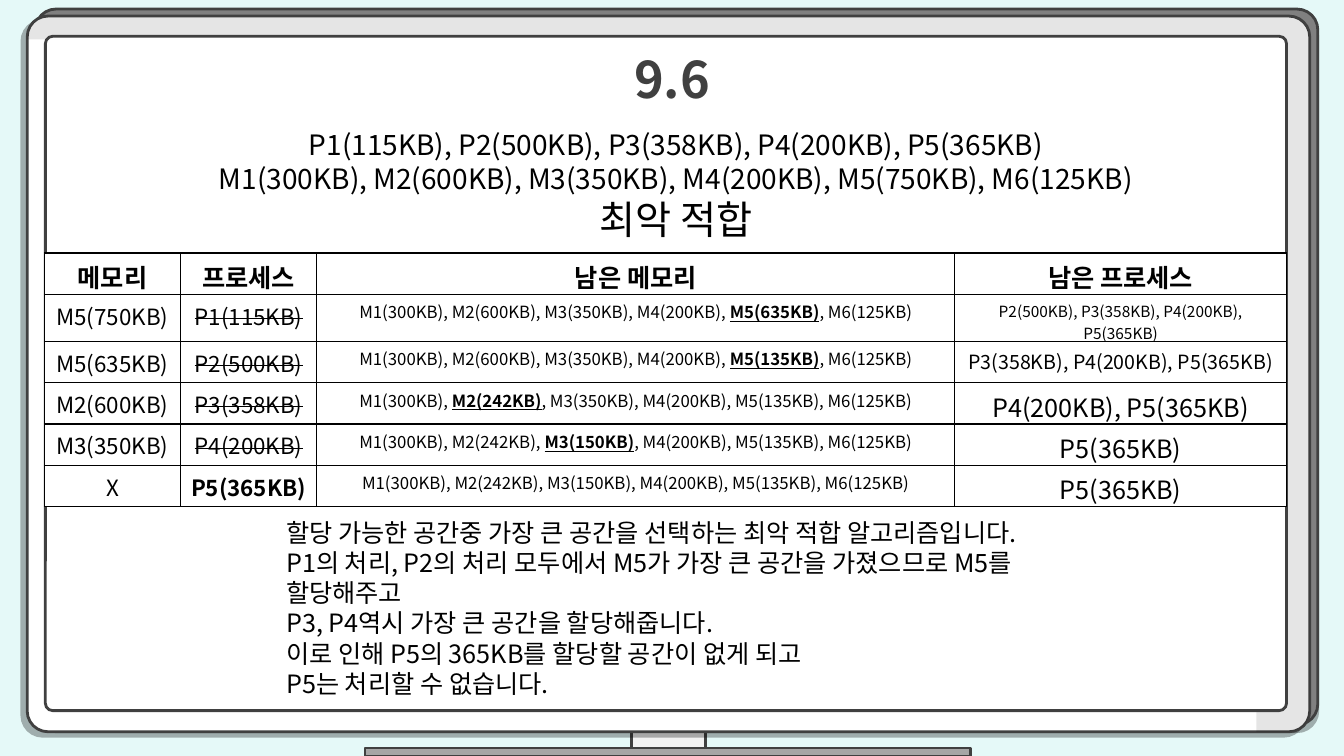
"""Build the worst-fit memory allocation slide, framed by a monitor."""
from math import cos, radians, sin

from lxml import etree
from pptx import Presentation
from pptx.dml.color import RGBColor
from pptx.enum import shapes, text
from pptx.oxml import ns, parse_xml
from pptx.util import Inches, Pt

FONT = "Noto Sans CJK KR"
TITLE = "9.6"
GIVEN = [
    ("P1(115KB), P2(500KB), P3(358KB), P4(200KB), P5(365KB)", 20),
    ("M1(300KB), M2(600KB), M3(350KB), M4(200KB), M5(750KB), M6(125KB)", 20),
    ("최악 적합", 28),
]
HEADINGS = ["메모리", "프로세스", "남은 메모리", "남은 프로세스"]
STEPS = [
    ("M5(750KB)", "P1(115KB)",
     "M1(300KB), M2(600KB), M3(350KB), M4(200KB), *M5(635KB)*, M6(125KB)",
     "P2(500KB), P3(358KB), P4(200KB), P5(365KB)", 11),
    ("M5(635KB)", "P2(500KB)",
     "M1(300KB), M2(600KB), M3(350KB), M4(200KB), *M5(135KB)*, M6(125KB)",
     "P3(358KB), P4(200KB), P5(365KB)", 14),
    ("M2(600KB)", "P3(358KB)",
     "M1(300KB), *M2(242KB)*, M3(350KB), M4(200KB), M5(135KB), M6(125KB)",
     "P4(200KB), P5(365KB)", 18),
    ("M3(350KB)", "P4(200KB)",
     "M1(300KB), M2(242KB), *M3(150KB)*, M4(200KB), M5(135KB), M6(125KB)",
     "P5(365KB)", 18),
    ("X", "P5(365KB)",
     "M1(300KB), M2(242KB), M3(150KB), M4(200KB), M5(135KB), M6(125KB)",
     "P5(365KB)", 18),
]
EXPLANATION = [
    "할당 가능한 공간중 가장 큰 공간을 선택하는 최악 적합 알고리즘입니다.",
    "P1의 처리, P2의 처리 모두에서 M5가 가장 큰 공간을 가졌으므로 M5를 할당해주고",
    "P3, P4역시 가장 큰 공간을 할당해줍니다.",
    "이로 인해 P5의 365KB를 할당할 공간이 없게 되고",
    "P5는 처리할 수 없습니다.",
]
COLUMN_WIDTHS = [1.35, 1.35, 6.33, 3.29]
ROW_HEIGHT = 0.41
BACK_PARTS = [
    ((0.35, 0.09, 12.72, 7.1), "808080", 0.029, 90),
    ((6.26, 4.83, 0.74, 2.67), "F2F2F2", None, None),
    ((3.62, 7.42, 6.01, 0.08), "A6A6A6", None, None),
    ((0.27, 0.16, 12.72, 7.1), "FFFFFF", 0.029, 140),
]
SCREEN = ((0.45, 0.36, 12.31, 6.69), "FFFFFF", 0.011, None)


def paint(target, color):
    if hasattr(target, "solid"):
        target.solid()
        target = target.fore_color
    target.rgb = RGBColor.from_string(color)


def add_part(page, box, color, radius, shadow_angle):
    kind = shapes.MSO_SHAPE.RECTANGLE if radius is None else shapes.MSO_SHAPE.ROUNDED_RECTANGLE
    part = page.shapes.add_shape(kind, *map(Inches, box))
    part.shadow.inherit = False
    if radius is not None:
        part.adjustments[0] = radius
    paint(part.fill, color)
    paint(part.line.color, "404040")
    part.line.width = Pt(2)
    if shadow_angle is not None:
        effects = part._element.spPr.find(ns.qn("a:effectLst"))
        effects.append(parse_xml(
            f'<a:outerShdw {ns.nsdecls("a")} blurRad="0" dist="{Pt(5)}" '
            f'dir="{shadow_angle * 60000}" algn="ctr" rotWithShape="0">'
            '<a:srgbClr val="000000"><a:alpha val="30000"/></a:srgbClr></a:outerShdw>'))


def arc(x, y, start, end, radius=0.21, steps=8):
    angles = [radians(start + (end - start) * i / steps) for i in range(steps + 1)]
    return [(Inches(x + radius * cos(a)), Inches(y + radius * sin(a))) for a in angles]


def add_bezel_shade(page):
    outline = (arc(0.48, 0.38, 180, 270) + arc(12.78, 0.38, -90, 0)
               + arc(12.78, 7.05, 0, 90) + [(Inches(12.46), Inches(7.26))]
               + arc(12.25, 0.6, 0, -90) + [(Inches(0.27), Inches(0.39))])
    builder = page.shapes.build_freeform(*outline[0], scale=1.0)
    builder.add_line_segments(outline[1:], close=True)
    shade = builder.convert_to_shape()
    shade.shadow.inherit = False
    paint(shade.fill, "000000")
    shade.line.fill.background()
    color = shade._element.spPr.find(ns.qn("a:solidFill"))[0]
    etree.SubElement(color, ns.qn("a:alpha")).set("val", "10000")


def write(para, content, size, color="000000", bold=False, strike=False, centred=True):
    if centred:
        para.alignment = text.PP_ALIGN.CENTER
    for index, piece in enumerate(content.split("*")):
        span = para.add_run()
        span.text = piece
        if index % 2:
            span.font.bold = span.font.underline = True
    para.font.size = Pt(size)
    para.font.name = FONT
    para.font.bold = bold
    paint(para.font.fill, color)
    defaults = para._p.pPr.find(ns.qn("a:defRPr"))
    etree.SubElement(defaults, ns.qn("a:ea")).set("typeface", FONT)
    if strike:
        defaults.set("strike", "sngStrike")


def add_text(page, box, lines, centred):
    frame = page.shapes.add_textbox(*map(Inches, box)).text_frame
    frame.word_wrap = True
    for index, (line, size) in enumerate(lines):
        para = frame.add_paragraph() if index else frame.paragraphs[0]
        write(para, line, size, centred=centred)


def format_cell(cell):
    properties = cell._tc.get_or_add_tcPr()
    for side in "LRTB":
        properties.append(parse_xml(
            f'<a:ln{side} {ns.nsdecls("a")} w="{Pt(1)}"><a:solidFill>'
            f'<a:srgbClr val="000000"/></a:solidFill></a:ln{side}>'))
    paint(cell.fill, "FFFFFF")


def add_steps(page):
    count = len(STEPS) + 1
    table = page.shapes.add_table(
        count, len(HEADINGS), Inches(0.44), Inches(2.51),
        Inches(sum(COLUMN_WIDTHS)), Inches(ROW_HEIGHT * count)).table
    table.first_row = table.horz_banding = False
    for column, width in zip(table.columns, COLUMN_WIDTHS):
        column.width = Inches(width)
    for row in table.rows:
        row.height = Inches(ROW_HEIGHT)
    for cell in table.iter_cells():
        format_cell(cell)
    for column, heading in enumerate(HEADINGS):
        write(table.cell(0, column).text_frame.paragraphs[0], heading, 18, bold=True)
    for row, (*contents, last_size) in enumerate(STEPS, 1):
        placed = contents[0] != "X"
        for column, (content, size) in enumerate(zip(contents, (16, 16, 12, last_size))):
            is_process = column == 1
            write(table.cell(row, column).text_frame.paragraphs[0], content, size,
                  bold=is_process and not placed, strike=is_process and placed)


def add_title(page):
    title = page.shapes.title
    title.left, title.top, title.width, title.height = map(Inches, (3.33, 0.43, 6.67, 0.71))
    frame = title.text_frame
    frame.auto_size = text.MSO_AUTO_SIZE.NONE
    frame.vertical_anchor = text.MSO_ANCHOR.TOP
    write(frame.paragraphs[0], TITLE, 36, "404040", bold=True)
    title.element.getparent().append(title.element)


def main():
    deck = Presentation()
    deck.slide_width, deck.slide_height = Inches(13.33), Inches(7.5)
    page = deck.slides.add_slide(deck.slide_layouts[5])
    paint(page.background.fill, "E5F9F8")
    for part in BACK_PARTS:
        add_part(page, *part)
    add_bezel_shade(page)
    add_part(page, *SCREEN)
    add_title(page)
    add_text(page, (1.55, 1.22, 10.31, 1.25), GIVEN, True)
    add_steps(page)
    add_text(page, (2.74, 5.08, 7.85, 1.62), [(line, 18) for line in EXPLANATION], False)
    deck.save("out.pptx")


if __name__ == "__main__":
    main()
